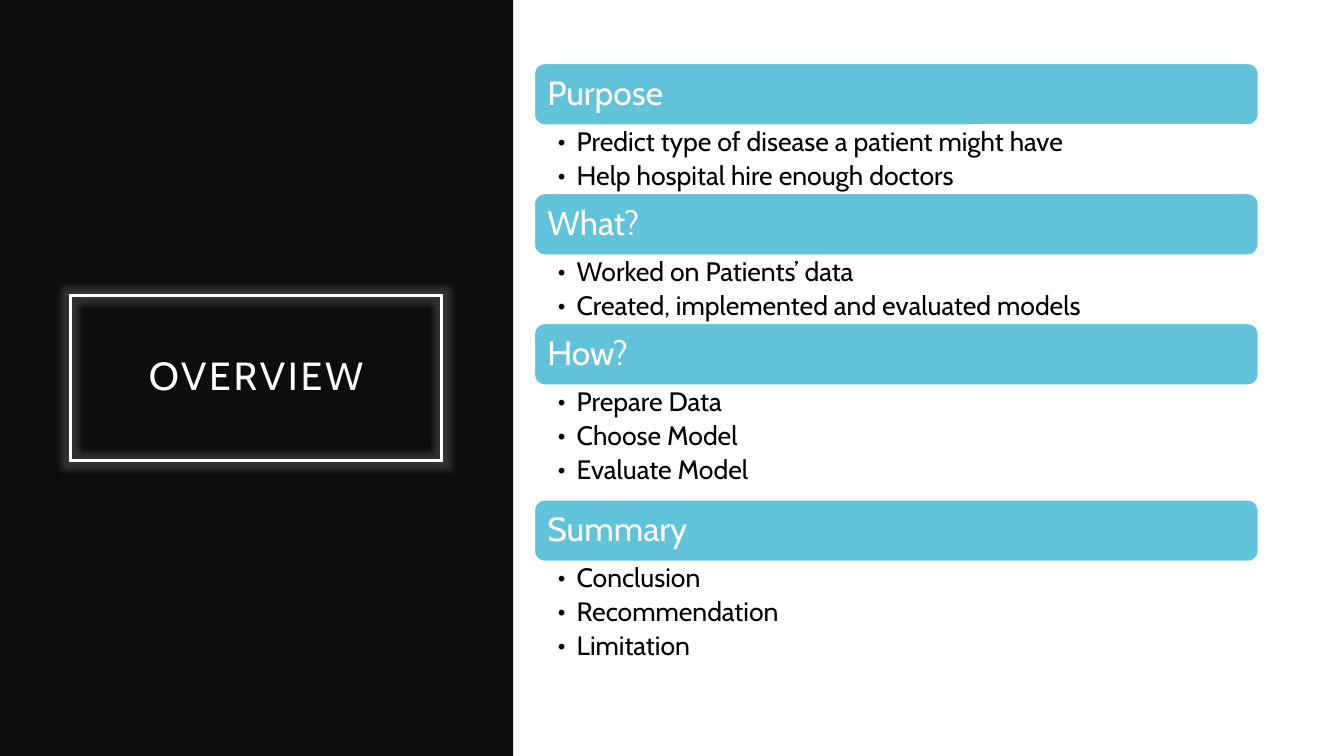
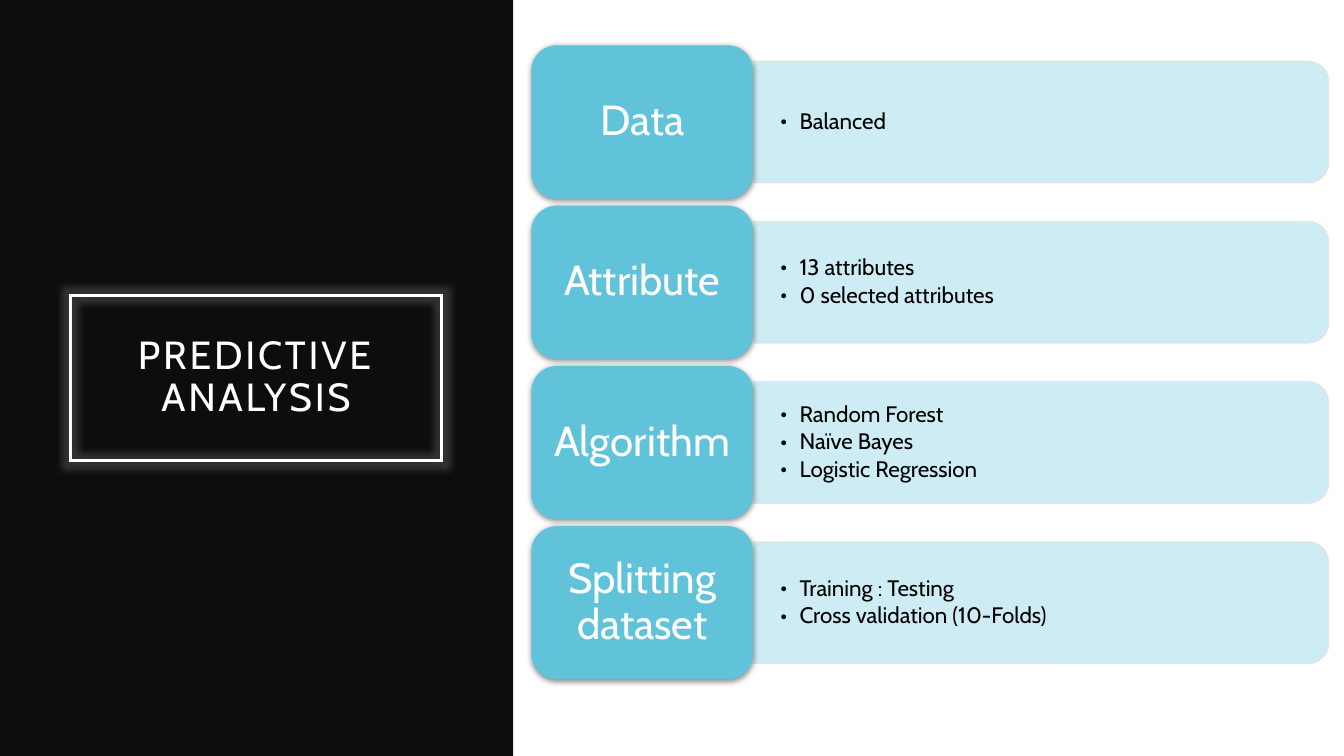
from dataclasses import dataclass

from lxml import etree
from pptx import Presentation
from pptx.dml.color import RGBColor
from pptx.enum.shapes import MSO_SHAPE
from pptx.enum.text import MSO_ANCHOR, MSO_AUTO_SIZE, PP_ALIGN
from pptx.oxml.ns import qn
from pptx.shapes.autoshape import Shape
from pptx.slide import Slide
from pptx.util import Inches, Pt

RECTANGLE = MSO_SHAPE.RECTANGLE
ROUNDED = MSO_SHAPE.ROUNDED_RECTANGLE
ROUNDED_TOP = MSO_SHAPE.ROUND_2_SAME_RECTANGLE
MIDDLE, TOP = MSO_ANCHOR.MIDDLE, MSO_ANCHOR.TOP
LEFT, CENTER = PP_ALIGN.LEFT, PP_ALIGN.CENTER

FONT = "Cabin"
COLORS = {
    "band": "0D0D0D",
    "accent": "61C3DA",
    "panel": "CDECF3",
    "panel_line": "FBE0CD",
    "white": "FFFFFF",
    "black": "000000",
}
TITLE_ONLY = 5
LINE_SPACING = 0.9
BULLET_INDENT = Inches(0.19)

# Overview list
BAR_LEFT, BAR_TOP = Inches(5.3), Inches(0.63)
BAR_WIDTH, BAR_HEIGHT = Inches(7.18), Inches(0.61)

# Analysis cards
CARD_LEFT, CARD_TOP = Inches(5.27), Inches(0.45)
CARD_WIDTH, CARD_HEIGHT = Inches(2.2), Inches(1.52)
CARD_PITCH = Inches(1.59)
PANEL_WIDTH, PANEL_HEIGHT = Inches(5.71), Inches(1.21)


@dataclass(frozen=True)
class Section:
    heading: str
    bullets: tuple[str, ...]
    detail_height: float  # inches


@dataclass(frozen=True)
class Card:
    heading: str
    bullets: tuple[str, ...]


@dataclass(frozen=True)
class TextStyle:
    size: int
    color: str
    align: PP_ALIGN = LEFT
    anchor: MSO_ANCHOR = MIDDLE
    inset_x: float = 0.1  # inches
    inset_y: float = 0.05
    space_after: float = 0  # points between paragraphs


TITLE_STYLE = TextStyle(28, "white", CENTER, inset_x=0.2, inset_y=0.2)
BAR_STYLE = TextStyle(24, "white")
BAR_DETAIL_STYLE = TextStyle(19, "black", anchor=TOP, inset_x=0.23,
                             inset_y=0.03, space_after=3.8)
CARD_STYLE = TextStyle(30, "white", CENTER, inset_x=0.1, inset_y=0.06)
CARD_DETAIL_STYLE = TextStyle(16, "black", inset_x=0.27, inset_y=0.14,
                              space_after=2.4)

SECTIONS = (
    Section("Purpose", ("Predict type of disease a patient might have",
                        "Help hospital hire enough doctors"), 0.68),
    Section("What?", ("Worked on Patients’ data",
                      "Created, implemented and evaluated models"), 0.68),
    Section("How?", ("Prepare Data", "Choose Model", "Evaluate Model"), 1.14),
    Section("Summary", ("Conclusion", "Recommendation", "Limitation"), 1.03),
)
CARDS = (
    Card("Data", ("Balanced",)),
    Card("Attribute", ("13 attributes", "0 selected attributes")),
    Card("Algorithm", ("Random Forest", "Naïve Bayes", "Logistic Regression")),
    Card("Splitting dataset", ("Training : Testing",
                               "Cross validation (10-Folds)")),
)


def rgb(name: str) -> RGBColor:
    return RGBColor.from_string(COLORS[name])


def write_text(shape: Shape, lines: tuple[str, ...], style: TextStyle) -> None:
    frame = shape.text_frame
    frame.text = "\n".join(lines)
    frame.word_wrap = True
    frame.auto_size = MSO_AUTO_SIZE.NONE
    frame.vertical_anchor = style.anchor
    frame.margin_left = frame.margin_right = Inches(style.inset_x)
    frame.margin_top = frame.margin_bottom = Inches(style.inset_y)
    for paragraph in frame.paragraphs:
        paragraph.alignment = style.align
        paragraph.line_spacing = LINE_SPACING
        paragraph.font.name = FONT
        paragraph.font.size = Pt(style.size)
        paragraph.font.color.rgb = rgb(style.color)
    for paragraph in frame.paragraphs[:-1]:
        paragraph.space_after = Pt(style.space_after)


def add_box(slide: Slide, kind: MSO_SHAPE, left: int, top: int, width: int,
            height: int, fill: str, line: str | None = None,
            line_width: float = 1) -> Shape:
    shape = slide.shapes.add_shape(kind, left, top, width, height)
    shape.shadow.inherit = False
    shape.fill.solid()
    shape.fill.fore_color.rgb = rgb(fill)
    if line:
        shape.line.color.rgb = rgb(line)
        shape.line.width = Pt(line_width)
    else:
        shape.line.fill.background()
    return shape


def add_bullets(slide: Slide, left: int, top: int, width: int, height: int,
                lines: tuple[str, ...], style: TextStyle) -> None:
    box = slide.shapes.add_textbox(left, top, width, height)
    write_text(box, lines, style)
    for font in box.element.iter(qn("a:defRPr")):
        properties = font.getparent()
        properties.set("marL", str(BULLET_INDENT))
        properties.set("indent", str(-BULLET_INDENT))
        font.addprevious(etree.Element(qn("a:buFont"), typeface=FONT))
        font.addprevious(etree.Element(qn("a:buChar"), char="•"))


def add_effect(shape: Shape, tag: str, color: str, opacity: int,
               **attributes: str) -> None:
    """Add a glow or shadow; opacity is in percent."""
    shape.shadow.inherit = False
    effects = shape.element.spPr.find(qn("a:effectLst"))
    effect = etree.SubElement(effects, qn(tag), attributes)
    tint = etree.SubElement(effect, qn("a:srgbClr"), val=COLORS[color])
    etree.SubElement(tint, qn("a:alpha"), val=str(opacity * 1000))


def add_titled_slide(presentation: Presentation, text: str) -> Slide:
    slide = presentation.slides.add_slide(presentation.slide_layouts[TITLE_ONLY])
    title = slide.shapes.title
    # Dark band behind the title
    band = add_box(slide, RECTANGLE, 0, 0, Inches(5.09),
                   presentation.slide_height, "band")
    title.element.addprevious(band.element)
    # Framed, glowing title with square corners
    title.left, title.top = Inches(0.7), Inches(2.93)
    title.width, title.height = Inches(3.68), Inches(1.64)
    title.line.color.rgb = rgb("white")
    title.line.width = Pt(2.5)
    outline = title.element.spPr.find(qn("a:ln"))
    etree.SubElement(outline, qn("a:miter"), lim="800000")
    write_text(title, (text,), TITLE_STYLE)
    for font in title.element.iter(qn("a:defRPr")):
        font.set("spc", "200")
    add_effect(title, "a:glow", "white", 15, rad=str(Pt(10)))
    return slide


def draw_sections(slide: Slide) -> None:
    top = BAR_TOP
    for section in SECTIONS:
        bar = add_box(slide, ROUNDED, BAR_LEFT, top, BAR_WIDTH, BAR_HEIGHT,
                      "accent", "white")
        write_text(bar, (section.heading,), BAR_STYLE)
        top += BAR_HEIGHT
        height = Inches(section.detail_height)
        add_bullets(slide, BAR_LEFT, top, BAR_WIDTH, height,
                    section.bullets, BAR_DETAIL_STYLE)
        top += height


def draw_cards(slide: Slide) -> None:
    panel_left = CARD_LEFT + CARD_WIDTH
    for index, card in enumerate(CARDS):
        top = CARD_TOP + index * CARD_PITCH
        panel_top = top + (CARD_HEIGHT - PANEL_HEIGHT) // 2
        # Panel turned a quarter so its rounded end faces right
        shift = (PANEL_WIDTH - PANEL_HEIGHT) // 2
        panel = add_box(slide, ROUNDED_TOP, panel_left + shift,
                        panel_top - shift, PANEL_HEIGHT, PANEL_WIDTH,
                        "panel", "panel_line", 0.5)
        panel.rotation = 90
        add_bullets(slide, panel_left, panel_top, PANEL_WIDTH, PANEL_HEIGHT,
                    card.bullets, CARD_DETAIL_STYLE)
        # Heading card
        heading = add_box(slide, ROUNDED, CARD_LEFT, top, CARD_WIDTH,
                          CARD_HEIGHT, "accent")
        write_text(heading, (card.heading,), CARD_STYLE)
        add_effect(heading, "a:outerShdw", "black", 45, blurRad=str(Pt(4.4)),
                   dist=str(Pt(1.2)), dir="5400000")


def main() -> None:
    presentation = Presentation()
    presentation.slide_width = Inches(13.33)
    presentation.slide_height = Inches(7.5)
    draw_sections(add_titled_slide(presentation, "OVERVIEW"))
    draw_cards(add_titled_slide(presentation, "PREDICTIVE ANALYSIS"))
    presentation.save("out.pptx")


if __name__ == "__main__":
    main()
